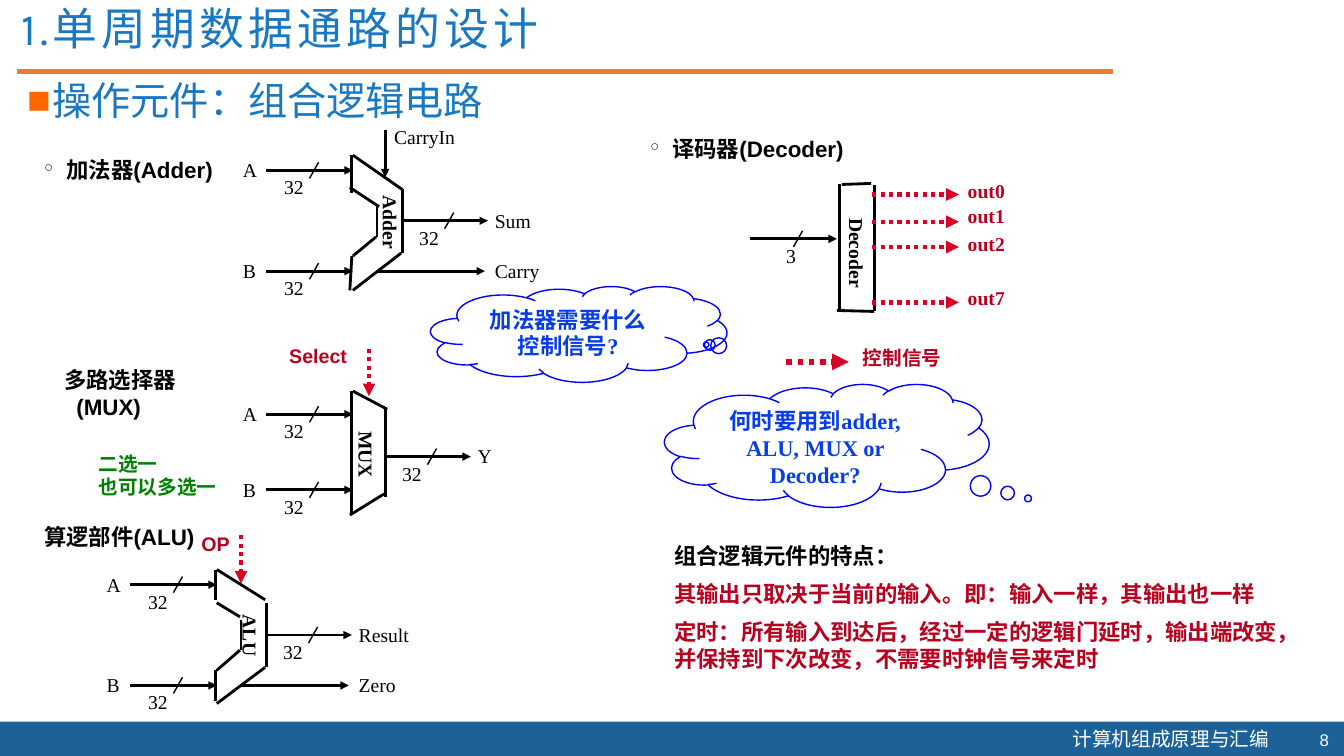
import dataclasses
import pptx
import pptx.dml.color
import pptx.enum.dml
import pptx.enum.shapes
import pptx.enum.text
import pptx.oxml.ns
import pptx.util
import lxml.etree

ALIGN = pptx.enum.text.PP_ALIGN
SHAPE = pptx.enum.shapes.MSO_SHAPE
CELL = pptx.util.Inches(0.1)  # grid of 133.3 columns by 75 rows


@dataclasses.dataclass
class Style:
    font: str
    size: float
    color: str
    bold: bool = False
    wrap: bool = True
    align: int = ALIGN.LEFT
    spacing: float = None  # share of a line; otherwise 1.2 times the size
    gap: float = 0
    bullet: tuple = None  # character, indent in cells, colour


class Theme:
    black, white, bar, rule = "000000", "FFFFFF", "1C6299", "ED7D31"
    control, cloud, east_asian = "D90125", "0000FF", "Noto Sans CJK SC"
    title = Style("Karla", 32, "1A78C3", spacing=0.9)
    heading = Style("Arial", 28, "1A78C3", spacing=0.9, bullet=("■", 2.5, "FF6600"))
    component = Style("Arial", 16, black, True)
    item = Style("Arial", 16, black, True, bullet=("°", 2.2, black))
    signal = Style("Times New Roman", 14, black, wrap=False)
    name = Style("Times New Roman", 14, black, True, False)
    output = Style("Times New Roman", 14, "B7011F", True, False)
    control_name = Style("Arial", 14, "B7011F", True)
    legend = Style("Times New Roman", 14, "B7011F", True)
    remark = Style("Times New Roman", 14, "008000", True)
    question = Style("Times New Roman", 16, "063DE8", True, align=ALIGN.CENTER)
    feature_heading = Style("Times New Roman", 16, black, True)
    feature = Style("Times New Roman", 16, "B7011F", True, gap=8)
    footer = Style("Noto Sans CJK SC", 14, white)
    number = Style("Arial", 12, white, align=ALIGN.RIGHT)


def write_text(shape, text, style):
    frame = shape.text_frame
    frame.text = text
    frame.word_wrap = style.wrap
    frame.auto_size = pptx.enum.text.MSO_AUTO_SIZE.NONE
    frame.vertical_anchor = pptx.enum.text.MSO_ANCHOR.TOP
    for index, paragraph in enumerate(frame.paragraphs):
        if style.bullet:
            character, indent, color = style.bullet
            properties = paragraph._p.get_or_add_pPr()
            properties.set("marL", str(int(indent * CELL)))
            properties.set("indent", str(int(-indent * CELL)))
            bullet_color = lxml.etree.SubElement(properties, pptx.oxml.ns.qn("a:buClr"))
            lxml.etree.SubElement(bullet_color, pptx.oxml.ns.qn("a:srgbClr"), val=color)
            lxml.etree.SubElement(properties, pptx.oxml.ns.qn("a:buChar"), char=character)
        paragraph.alignment = style.align
        paragraph.line_spacing = style.spacing or pptx.util.Pt(style.size * 1.2)
        paragraph.space_before = pptx.util.Pt(style.gap if index else 0)
        for run in paragraph.runs:
            run.font.size = pptx.util.Pt(style.size)
            run.font.bold = style.bold
            run.font.color.rgb = pptx.dml.color.RGBColor.from_string(style.color)
            run.font.name = style.font
            lxml.etree.SubElement(run._r.get_or_add_rPr(), pptx.oxml.ns.qn("a:ea"),
                                  typeface=Theme.east_asian)


def draw_wire(ends, color=Theme.black, width=2, arrow=False, dotted=False):
    wire = slide.shapes.add_connector(pptx.enum.shapes.MSO_CONNECTOR.STRAIGHT,
                                      *[int(value * CELL) for value in ends])
    wire.line.color.rgb = pptx.dml.color.RGBColor.from_string(color)
    wire.line.width = pptx.util.Pt(width)
    if dotted:
        wire.line.dash_style = pptx.enum.dml.MSO_LINE.ROUND_DOT
    if arrow:
        lxml.etree.SubElement(wire._element.spPr.get_or_add_ln(), pptx.oxml.ns.qn("a:tailEnd"), type="triangle")
    lxml.etree.SubElement(wire._element.spPr, pptx.oxml.ns.qn("a:effectLst"))


presentation = pptx.Presentation()
presentation.slide_width = pptx.util.Inches(13.33)
presentation.slide_height = pptx.util.Inches(7.5)
slide = presentation.slides.add_slide(presentation.slide_layouts[1])

# Footer bar and title rule
bar = slide.shapes.add_shape(SHAPE.RECTANGLE, 0, int(71.6 * CELL), presentation.slide_width, int(3.4 * CELL))
bar.shadow.inherit = False
bar.fill.solid()
bar.fill.fore_color.rgb = pptx.dml.color.RGBColor.from_string(Theme.bar)
bar.line.fill.background()
draw_wire((1.7, 7.1, 110.4, 7.1), Theme.rule, 3)

# Title and heading
for placeholder, text, style, box in (
    (slide.shapes.title, "1.单周期数据通路的设计", Theme.title, (1.1, 0.7, 106.5, 4.8)),
    (slide.placeholders[1], "操作元件：组合逻辑电路", Theme.heading, (1.7, 7.6, 129.4, 7.5)),
):
    placeholder.left, placeholder.top, placeholder.width, placeholder.height = [int(v * CELL) for v in box]
    write_text(placeholder, text, style)
slide.shapes.title.text_frame.margin_top = 0
for run in slide.shapes.title.text_frame.paragraphs[0].runs:
    run._r.get_or_add_rPr().set("spc", "300")

# Labels: text, column, row, columns, rows, style
labels = [
    ("加法器(Adder)", 3.4, 15, 20, 3.3, Theme.item),
    ("译码器(Decoder)", 63.5, 12.9, 22.2, 3.3, Theme.item),
    ("多路选择器", 5.4, 35.8, 15, 3.3, Theme.component),
    ("(MUX)", 6.6, 38.5, 10, 3.3, Theme.component),
    ("算逻部件(ALU)", 3.4, 51.4, 21, 3.3, Theme.component),
    ("二选一\n也可以多选一", 8.8, 44.3, 16.8, 5.7, Theme.remark),
    ("CarryIn", 38.1, 11.9, 8.1, 3.3, Theme.signal),
    ("Select", 27.7, 33.6, 9.4, 3.3, Theme.control_name),
    ("OP", 19, 52.3, 7.7, 3.3, Theme.control_name),
    ("3", 77, 23.7, 3, 3.3, Theme.signal),
    ("控制信号", 84.6, 33.8, 15.2, 3.4, Theme.legend),
    ("组合逻辑元件的特点：", 65.9, 53.3, 63.3, 3.6, Theme.feature_heading),
    ("其输出只取决于当前的输入。即：输入一样，其输出也一样\n"
     "定时：所有输入到达后，经过一定的逻辑门延时，输出端改变，并保持到下次改变，不需要时钟信号来定时",
     65.9, 57.1, 63.3, 10.7, Theme.feature),
    ("计算机组成原理与汇编", 105.4, 71.6, 21.8, 3.4, Theme.footer),
    ("8", 127.8, 71.9, 5, 3, Theme.number),
]

# Buses: start column, row
buses = [(74.4, 23.7)]
for input_column, input_row, input_gap, output_column, output_row, output, columns in (
    (26.4, 16.9, 10, 39.8, 21.9, "Sum", 5.6),
    (26.4, 41.1, 7.5, 38.1, 45.3, "Y", 3.4),
    (12.9, 58, 10, 26.3, 63, "Result", 7),
):
    for letter, row in (("A", input_row), ("B", input_row + input_gap)):
        buses.append((input_column, row))
        labels.append((letter, input_column - 3.3, row - 1.7, 3.4, 3.3, Theme.signal))
    buses.append((output_column, output_row))
    labels.append((output, output_column + 8.3, output_row - 1.7, columns, 3.3, Theme.signal))
for column, row in buses:
    draw_wire((column, row, column + 8.6, row), arrow=True)
    draw_wire((column + 5.2, row - 0.8, column + 4.3, row + 0.8), width=1)
for column, row in buses[1:]:
    labels.append(("32", column + 0.8, row, 4, 3.3, Theme.signal))

# Second outputs of the adder and the ALU, and the carry input
for column, row, text, columns in ((37.5, 26.9, "Carry", 6.5), (24, 68, "Zero", 5.7)):
    draw_wire((column, row, column + 10.6, row), arrow=True)
    labels.append((text, column + 10.6, row - 1.7, columns, 3.3, Theme.signal))
draw_wire((38.2, 12.9, 38.2, 17.6), arrow=True)

# Outlines of the components
outlines = {
    "Adder": ((34.9, 15.4, 34.9, 19.1), (35, 15.4, 39.9, 18.8), (34.7, 18.6, 37.6, 20.5),
              (37.4, 20.4, 37.4, 23.5), (39.9, 18.8, 39.9, 25.1), (35, 25.4, 37.3, 23.5),
              (34.9, 25.4, 34.7, 28.8), (35, 28.8, 39.8, 25.1)),
    "MUX": ((34.9, 38.8, 34.9, 51), (35, 38.8, 38.4, 40.6), (34.7, 51.1, 38.1, 49),
            (38.2, 40.4, 38.2, 49.3)),
    "ALU": ((21.4, 56.5, 21.4, 59.5), (21.5, 56.5, 26.3, 59.5), (21.5, 59.8, 23.8, 61.2),
            (23.9, 61.5, 23.9, 64.5), (26.4, 59.8, 26.4, 66.2), (21.5, 66.5, 23.8, 64.5),
            (21.4, 66.5, 21.4, 69.5), (21.5, 69.8, 26.3, 66.2)),
    "Decoder": ((83.3, 18.3, 83.3, 30.7), (83.5, 18.3, 86.4, 18.2), (83, 30.8, 86.7, 30.9),
                (86.7, 18.4, 86.7, 30.9)),
}
for edges in outlines.values():
    for edge in edges:
        draw_wire(edge)
labels += [
    ("Adder", 35.1, 20.4, 7.3, 3.3, Theme.name),
    ("MUX", 33, 43.5, 6.7, 3.3, Theme.name),
    ("ALU", 21.8, 61.4, 6.1, 3.3, Theme.name),
    ("Decoder", 80.5, 23.5, 9, 3.3, Theme.name),
]

# Control signals
for text, row, text_row in (("out0", 19.3, 17.3), ("out1", 22, 19.7), ("out2", 24.5, 22.5), ("out7", 30, 27.9)):
    draw_wire((86.5, row, 95.1, row), Theme.control, 3, True, True)
    labels.append((text, 95, text_row, 5.7, 3.4, Theme.output))
for ends, width in (((36.6, 34.6, 36.6, 39.3), 3), ((23.9, 53.1, 23.9, 57.9), 3), ((78, 35.9, 84.2, 35.9), 4)):
    draw_wire(ends, Theme.control, width, True, True)

# Write all labels; component names read downwards
for text, column, row, columns, rows, style in labels:
    label = slide.shapes.add_textbox(*[int(value * CELL) for value in (column, row, columns, rows)])
    write_text(label, text, style)
    if text in outlines:
        label.rotation = 90

# Question clouds
for text, box, tail in (
    ("何时要用到adder, ALU, MUX or Decoder?", (65.9, 38.1, 32.2, 12.2), (0.62, 0.43)),
    ("加法器需要什么控制信号?", (42.7, 28.4, 29.4, 9.5), (0.43, 0.11)),
):
    cloud = slide.shapes.add_shape(SHAPE.CLOUD_CALLOUT, *[int(value * CELL) for value in box])
    cloud.shadow.inherit = False
    cloud.adjustments[0], cloud.adjustments[1] = tail
    cloud.fill.background()
    cloud.line.color.rgb = pptx.dml.color.RGBColor.from_string(Theme.cloud)
    cloud.line.width = pptx.util.Pt(1)
    write_text(cloud, text, Theme.question)

presentation.save("out.pptx")
